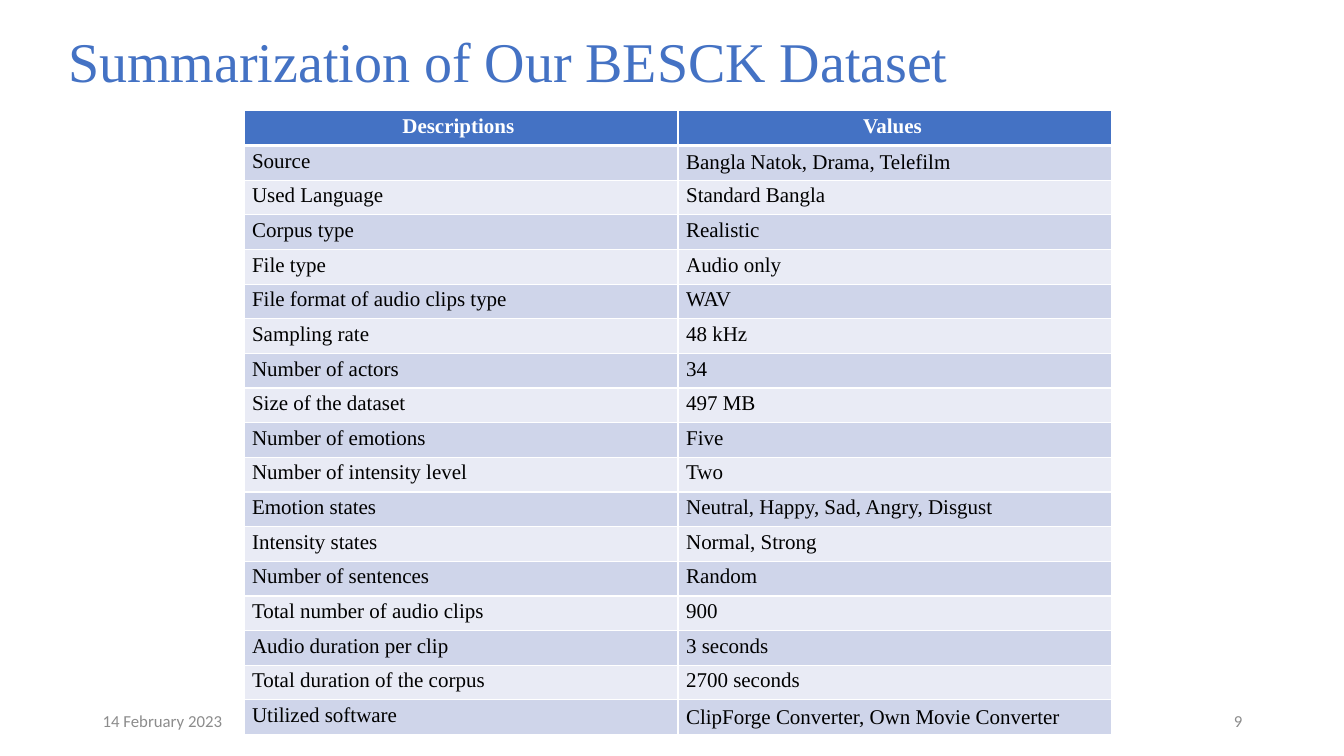
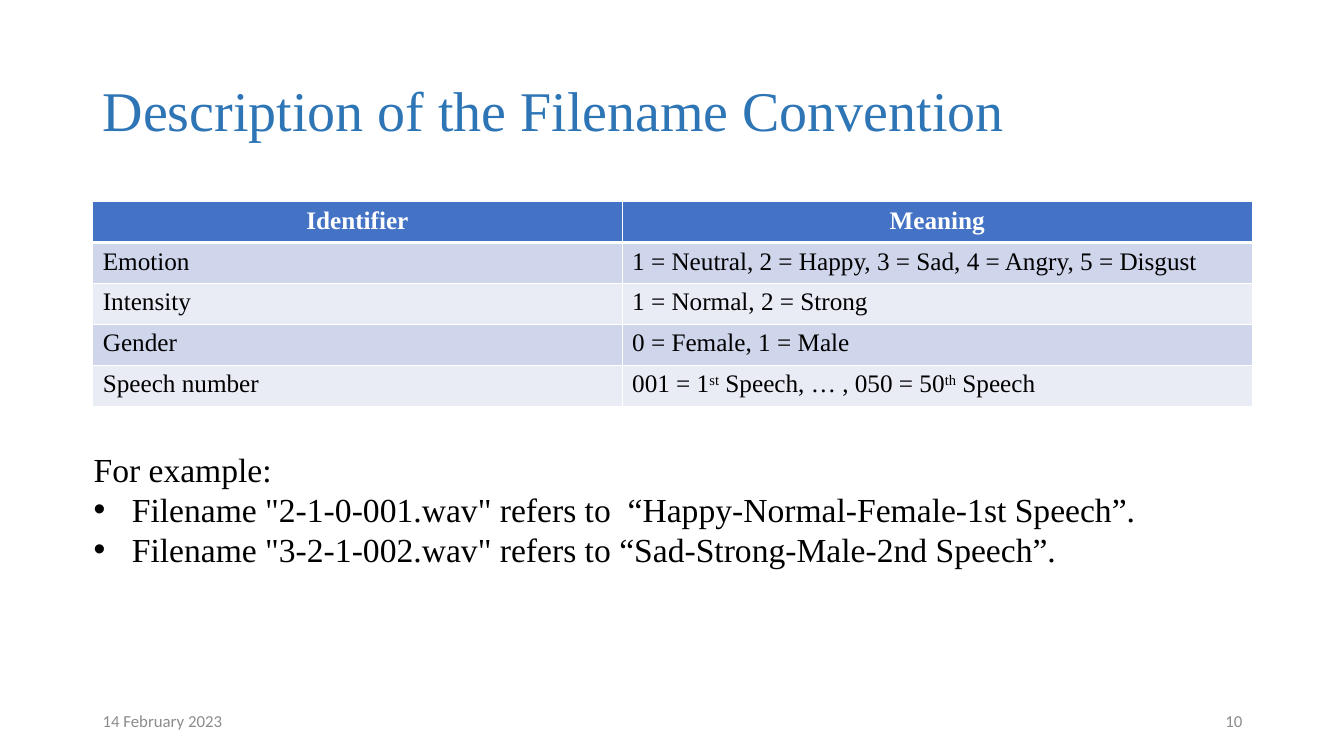
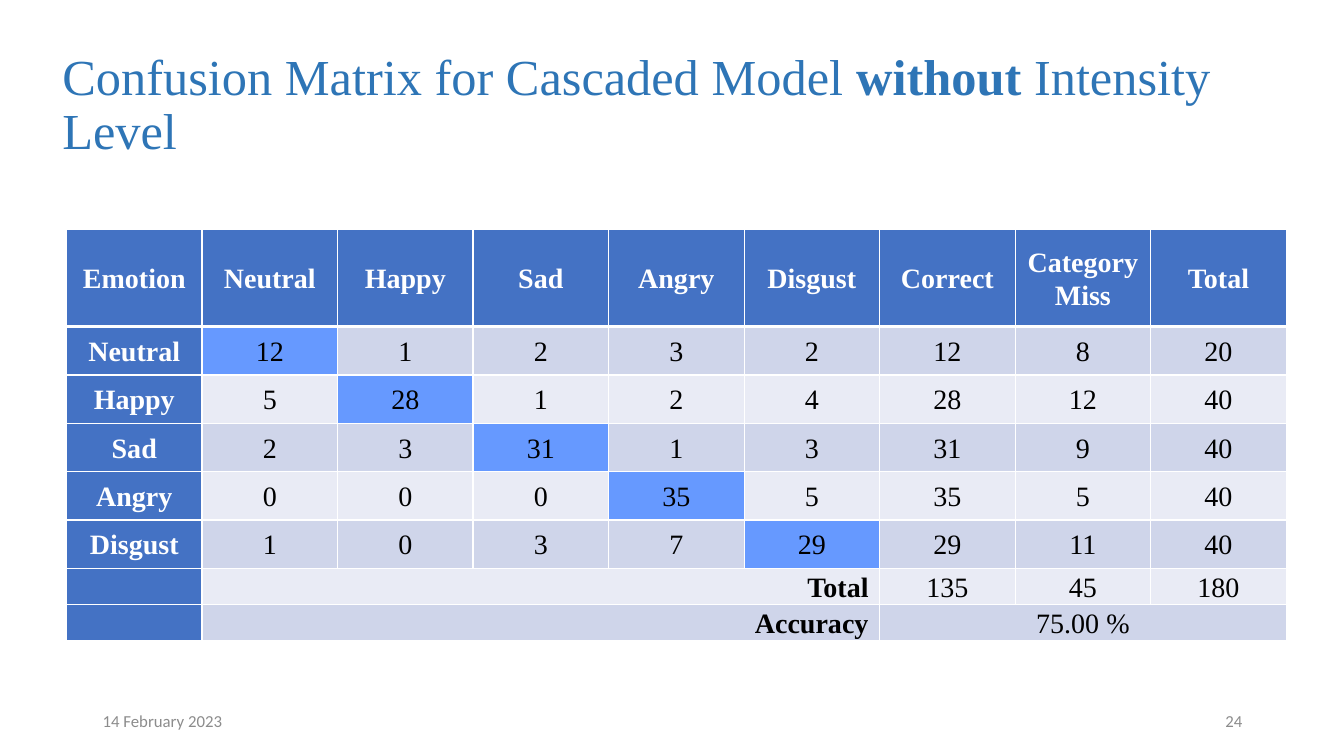
from dataclasses import dataclass
from typing import NamedTuple, Sequence

import lxml.etree
import pptx
import pptx.dml.color
import pptx.enum.text
import pptx.oxml.ns
import pptx.slide
import pptx.table
import pptx.text.text
import pptx.util

EMU_PER_PX = 9144  # 100 px to the inch

RGB = pptx.dml.color.RGBColor
WHITE = RGB(0xFF, 0xFF, 0xFF)
BLACK = RGB(0x00, 0x00, 0x00)
BLUE = RGB(0x44, 0x72, 0xC4)
DEEP_BLUE = RGB(0x2E, 0x75, 0xB6)
DIAGONAL_BLUE = RGB(0x66, 0x99, 0xFF)
BANDS = (RGB(0xCF, 0xD5, 0xEA), RGB(0xE9, 0xEB, 0xF5))
FOOTER_GREY = RGB(0x8C, 0x8C, 0x8C)

SERIF = "Times New Roman"
SANS = "Calibri"
DATE = "14 February 2023"

ALIGN = pptx.enum.text.PP_ALIGN
ANCHOR = pptx.enum.text.MSO_ANCHOR


class Box(NamedTuple):
    left: int
    top: int
    width: int
    height: int


class Run(NamedTuple):
    text: str
    bold: bool = False
    superscript: bool = False


@dataclass(frozen=True)
class Style:
    size: int
    color: RGB = BLACK
    font: str = SERIF
    bold: bool = False
    align: ALIGN = ALIGN.LEFT
    spacing: float = 1.0


@dataclass(frozen=True)
class Cell:
    runs: Sequence[Run]
    fill: RGB
    color: RGB = BLACK
    bold: bool = False
    align: ALIGN = ALIGN.LEFT
    anchor: ANCHOR = ANCHOR.TOP
    span: int = 1


@dataclass(frozen=True)
class Grid:
    box: Box
    columns: Sequence[int]  # relative widths
    rows: Sequence[int]  # relative heights
    size: int
    inset_x: int
    inset_y: int
    spacing: float = 1.0


def px(length: float) -> pptx.util.Emu:
    return pptx.util.Emu(round(length * EMU_PER_PX))


def plain(text: str) -> list[Run]:
    return [Run(text)]


# Text

def write(paragraph: pptx.text.text._Paragraph, runs: Sequence[Run], style: Style) -> None:
    for part in runs:
        run = paragraph.add_run()
        run.text = part.text
        if part.bold:
            run.font.bold = True
        if part.superscript:
            run._r.get_or_add_rPr().set("baseline", "30000")
    paragraph.alignment = style.align
    paragraph.line_spacing = style.spacing
    paragraph.font.name = style.font
    paragraph.font.size = pptx.util.Pt(style.size)
    paragraph.font.bold = style.bold
    paragraph.font.color.rgb = style.color


def add_bullet(paragraph: pptx.text.text._Paragraph, indent: int) -> None:
    properties = paragraph._p.get_or_add_pPr()
    properties.set("marL", str(px(indent)))
    properties.set("indent", str(-px(indent)))
    lxml.etree.SubElement(properties, pptx.oxml.ns.qn("a:buFont"), typeface="Arial")
    lxml.etree.SubElement(properties, pptx.oxml.ns.qn("a:buChar"), char="•")


def add_text_frame(slide: pptx.slide.Slide, box: Box, anchor: ANCHOR) -> pptx.text.text.TextFrame:
    frame = slide.shapes.add_textbox(*map(px, box)).text_frame
    frame.word_wrap = True
    frame.vertical_anchor = anchor
    return frame


def add_line(slide: pptx.slide.Slide, box: Box, runs: Sequence[Run], style: Style) -> None:
    write(add_text_frame(slide, box, ANCHOR.MIDDLE).paragraphs[0], runs, style)


def add_slide(deck, title: Sequence[Run], box: Box, size: int, color: RGB,
              number: int) -> pptx.slide.Slide:
    """A blank slide with the shared title style, date and slide number."""
    slide = deck.slides.add_slide(deck.slide_layouts[6])
    add_line(slide, box, title, Style(size, color, spacing=0.9))
    add_line(slide, Box(92, 695, 300, 40), plain(DATE), Style(12, FOOTER_GREY, SANS))
    add_line(slide, Box(942, 695, 300, 40), plain(str(number)),
             Style(12, FOOTER_GREY, SANS, align=ALIGN.RIGHT))
    return slide


# Tables

def set_borders(cell: pptx.table._Cell, top: int, bottom: int) -> None:
    properties = cell._tc.get_or_add_tcPr()
    widths = {"a:lnL": 1, "a:lnR": 1, "a:lnT": top, "a:lnB": bottom}
    for position, (tag, points) in enumerate(widths.items()):
        line = lxml.etree.Element(pptx.oxml.ns.qn(tag), w=str(pptx.util.Pt(points)))
        fill = lxml.etree.SubElement(line, pptx.oxml.ns.qn("a:solidFill"))
        lxml.etree.SubElement(fill, pptx.oxml.ns.qn("a:srgbClr"), val=str(WHITE))
        properties.insert(position, line)


def fill_cell(target: pptx.table._Cell, cell: Cell, grid: Grid, row: int) -> None:
    target.fill.solid()
    target.fill.fore_color.rgb = cell.fill
    target.margin_left = target.margin_right = px(grid.inset_x)
    target.margin_top = target.margin_bottom = px(grid.inset_y)
    target.vertical_anchor = cell.anchor
    set_borders(target, top=3 if row == 1 else 1, bottom=3 if row == 0 else 1)
    write(target.text_frame.paragraphs[0], cell.runs,
          Style(grid.size, cell.color, bold=cell.bold, align=cell.align, spacing=grid.spacing))


def add_grid(slide: pptx.slide.Slide, grid: Grid, content: Sequence[Sequence[Cell]]) -> None:
    table = slide.shapes.add_table(len(grid.rows), len(grid.columns), *map(px, grid.box)).table
    table.first_row = table.horz_banding = False
    for column, weight in zip(table.columns, grid.columns):
        column.width = px(grid.box.width * weight / sum(grid.columns))
    for row, weight in zip(table.rows, grid.rows):
        row.height = px(grid.box.height * weight / sum(grid.rows))
    for r, cells in enumerate(content):
        c = 0
        for cell in cells:
            fill_cell(table.cell(r, c), cell, grid, r)
            if cell.span > 1:
                table.cell(r, c).merge(table.cell(r, c + cell.span - 1))
            c += cell.span


def header(text: str, anchor: ANCHOR = ANCHOR.TOP) -> Cell:
    return Cell(plain(text), BLUE, WHITE, True, ALIGN.CENTER, anchor)


# Slides

DATASET_FACTS = [
    ("Source", "Bangla Natok, Drama, Telefilm"),
    ("Used Language", "Standard Bangla"),
    ("Corpus type", "Realistic"),
    ("File type", "Audio only"),
    ("File format of audio clips type", "WAV"),
    ("Sampling rate", "48 kHz"),
    ("Number of actors", "34"),
    ("Size of the dataset", "497 MB"),
    ("Number of emotions", "Five"),
    ("Number of intensity level", "Two"),
    ("Emotion states", "Neutral, Happy, Sad, Angry, Disgust"),
    ("Intensity states", "Normal, Strong"),
    ("Number of sentences", "Random"),
    ("Total number of audio clips", "900"),
    ("Audio duration per clip", "3 seconds"),
    ("Total duration of the corpus", "2700 seconds"),
    ("Utilized software", "ClipForge Converter, Own Movie Converter"),
]
CENTRED_FACTS = ("Source", "Utilized software")

FILENAME_PARTS = [
    ("Emotion", plain("1 = Neutral, 2 = Happy, 3 = Sad, 4 = Angry, 5 = Disgust")),
    ("Intensity", plain("1 = Normal, 2 = Strong")),
    ("Gender", plain("0 = Female, 1 = Male")),
    ("Speech number", [Run("001 = 1"), Run("st", superscript=True),
                       Run(" Speech, … , 050 = 50"), Run("th", superscript=True),
                       Run(" Speech")]),
]
FILENAME_EXAMPLES = [
    'Filename "2-1-0-001.wav" refers to  “Happy-Normal-Female-1st Speech”.',
    'Filename "3-2-1-002.wav" refers to “Sad-Strong-Male-2nd Speech”.',
]

EMOTIONS = ["Neutral", "Happy", "Sad", "Angry", "Disgust"]
# Predicted counts per emotion, then correct, category miss and total
CONFUSION = [
    (12, 1, 2, 3, 2, 12, 8, 20),
    (5, 28, 1, 2, 4, 28, 12, 40),
    (2, 3, 31, 1, 3, 31, 9, 40),
    (0, 0, 0, 35, 5, 35, 5, 40),
    (1, 0, 3, 7, 29, 29, 11, 40),
]


def build_dataset_summary(deck) -> None:
    slide = add_slide(deck, plain("Summarization of Our BESCK Dataset"),
                      Box(58, 13, 1150, 102), 40, BLUE, 9)
    content = [[header("Descriptions "), header("Values ")]]
    for index, (description, value) in enumerate(DATASET_FACTS):
        band = BANDS[index % 2]
        anchor = ANCHOR.MIDDLE if description in CENTRED_FACTS else ANCHOR.TOP
        content.append([Cell(plain(description), band),
                        Cell(plain(value), band, anchor=anchor)])
    grid = Grid(Box(242, 110, 861, 619), (1, 1), [1] * len(content), 15, 8, 4)
    add_grid(slide, grid, content)


def build_filename_convention(deck) -> None:
    slide = add_slide(deck, plain("Description of the Filename Convention"),
                      Box(92, 40, 1150, 145), 40, DEEP_BLUE, 10)
    content = [[header("Identifier"), header("Meaning")]]
    for index, (identifier, meaning) in enumerate(FILENAME_PARTS):
        band = BANDS[index % 2]
        content.append([Cell(plain(identifier), band), Cell(meaning, band)])
    grid = Grid(Box(92, 200, 1150, 203), (525, 625), [1] * len(content), 18, 10, 5)
    add_grid(slide, grid, content)

    # Examples below the table
    style = Style(24, align=ALIGN.JUSTIFY)
    frame = add_text_frame(slide, Box(83, 440, 1081, 131), ANCHOR.TOP)
    write(frame.paragraphs[0], plain("For example:"), style)
    for example in FILENAME_EXAMPLES:
        paragraph = frame.add_paragraph()
        add_bullet(paragraph, 38)
        write(paragraph, plain(example), style)


def build_confusion_matrix(deck) -> None:
    title = [Run("Confusion Matrix for Cascaded Model "), Run("without", bold=True),
             Run(" Intensity Level")]
    slide = add_slide(deck, title, Box(52, 33, 1263, 145), 36, DEEP_BLUE, 24)

    def count(value: object, fill: RGB, span: int = 1) -> Cell:
        return Cell(plain(str(value)), fill, align=ALIGN.CENTER, anchor=ANCHOR.MIDDLE, span=span)

    def summary(label: str, band: RGB, values: list[Cell]) -> list[Cell]:
        return [Cell([], BLUE),
                Cell(plain(label), band, bold=True, align=ALIGN.RIGHT,
                     anchor=ANCHOR.MIDDLE, span=len(EMOTIONS)), *values]

    headings = ["Emotion", *EMOTIONS, "Correct", "Category Miss", "Total"]
    content = [[header(heading, ANCHOR.MIDDLE) for heading in headings]]
    for r, (emotion, counts) in enumerate(zip(EMOTIONS, CONFUSION)):
        content.append([header(emotion, ANCHOR.MIDDLE)] + [
            count(value, DIAGONAL_BLUE if c == r else BANDS[r % 2])
            for c, value in enumerate(counts)])
    totals = [sum(column) for column in zip(*CONFUSION)][len(EMOTIONS):]
    accuracy = f"{totals[0] / totals[-1]:.2%}".replace("%", " %")
    content.append(summary("Total", BANDS[1], [count(total, BANDS[1]) for total in totals]))
    content.append(summary("Accuracy", BANDS[0], [count(accuracy, BANDS[0], len(totals))]))

    heights = [96] + [48] * len(EMOTIONS) + [33, 33]
    grid = Grid(Box(66, 228, 1210, sum(heights)), [1] * len(headings), heights, 20, 11, 0, 1.07)
    add_grid(slide, grid, content)


def main() -> None:
    deck = pptx.Presentation()
    deck.slide_width, deck.slide_height = px(1333), px(750)
    build_dataset_summary(deck)
    build_filename_convention(deck)
    build_confusion_matrix(deck)
    deck.save("out.pptx")


if __name__ == "__main__":
    main()
